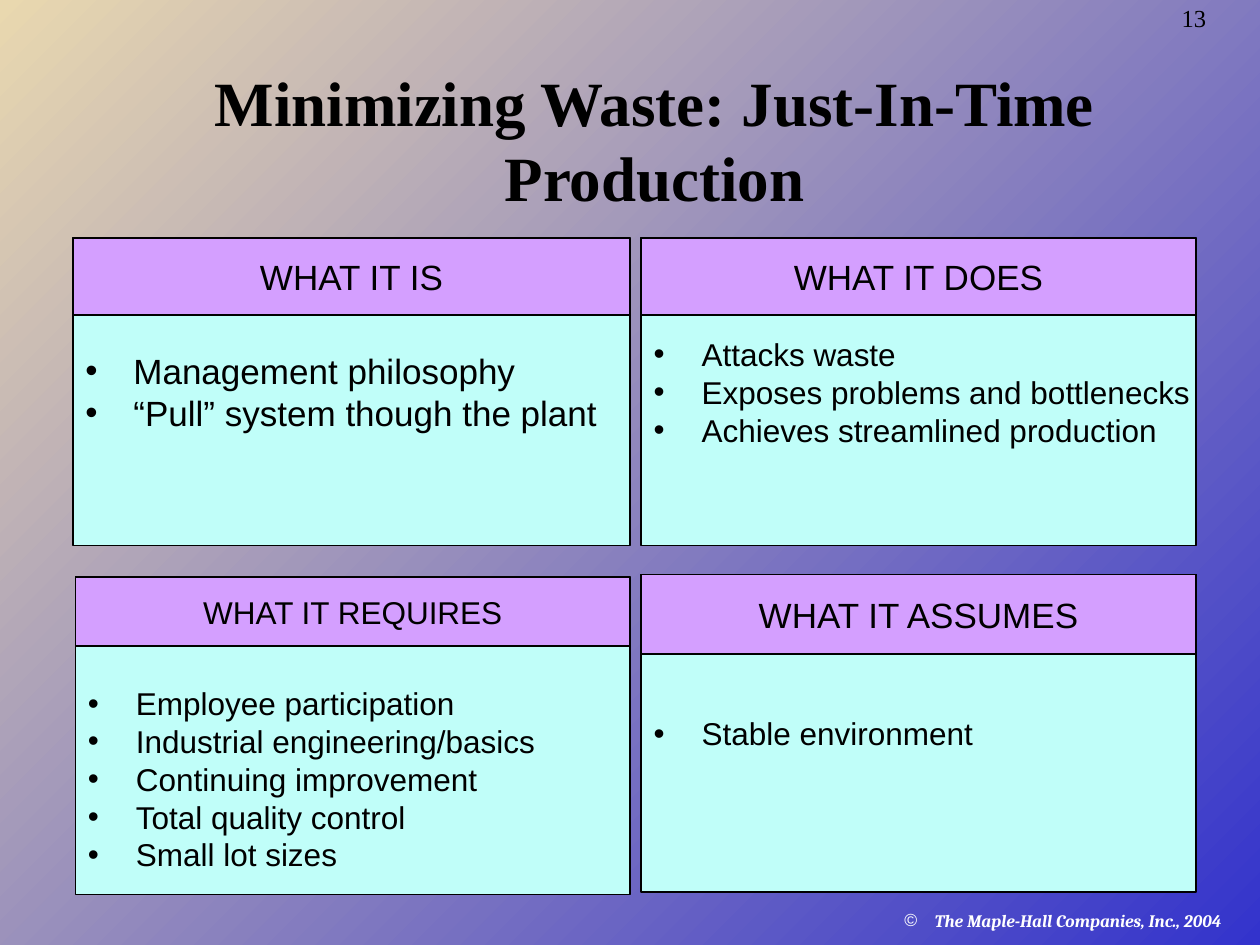
from dataclasses import dataclass

import pptx
import pptx.dml.color
import pptx.enum.shapes
import pptx.enum.text
import pptx.oxml
import pptx.oxml.ns
import pptx.util

Inches = pptx.util.Inches
Pt = pptx.util.Pt
Align = pptx.enum.text.PP_ALIGN
Anchor = pptx.enum.text.MSO_ANCHOR


@dataclass(frozen=True)
class Theme:
    ink: str = "000000"
    light: str = "FFFFFF"
    header: str = "D49FFF"
    body: str = "C0FEF9"
    background: tuple = ("3333CC", "E9D8AF")
    serif: str = "Times New Roman"
    sans: str = "Arial"
    credit: str = "Cambria"
    title_size: int = 36
    large: int = 20
    medium: int = 18
    number_size: int = 14
    credit_size: int = 10


THEME = Theme()


def rgb(value):
    return pptx.dml.color.RGBColor.from_string(value)


def add_span(para, text, font, size, color=THEME.ink, bold=False, italic=False):
    span = para.add_run()
    span.text = text
    span.font.name = font
    span.font.size = Pt(size)
    span.font.color.rgb = rgb(color)
    span.font.bold = bold
    span.font.italic = italic


def set_bullet(para, mark, indent, color=THEME.ink):
    """Hang the paragraph behind a bullet by the given indent in inches."""
    props = para._p.get_or_add_pPr()
    props.set("marL", str(Inches(indent)))
    props.set("indent", str(-Inches(indent)))
    space = pptx.oxml.ns.nsdecls("a")
    for xml in (
        f'<a:buClr {space}><a:srgbClr val="{color}"/></a:buClr>',
        f'<a:buFont {space} typeface="{THEME.sans}"/>',
        f'<a:buChar {space} char="{mark}"/>',
    ):
        props.append(pptx.oxml.parse_xml(xml))


def add_frame(page, box, anchor=Anchor.TOP, wrap=True):
    frame = page.shapes.add_textbox(*map(Inches, box)).text_frame
    frame.word_wrap = wrap
    frame.vertical_anchor = anchor
    return frame


def add_block(group, box, fill):
    """Add an outlined rectangle and return its text frame."""
    block = group.shapes.add_shape(
        pptx.enum.shapes.MSO_SHAPE.RECTANGLE, *map(Inches, box))
    block.shadow.inherit = False
    block.fill.solid()
    block.fill.fore_color.rgb = rgb(fill)
    block.line.color.rgb = rgb(THEME.ink)
    block.line.width = Pt(1)
    frame = block.text_frame
    frame.word_wrap = True
    frame.vertical_anchor = Anchor.MIDDLE
    return frame


def add_panel(page, box, header_height, heading, heading_size, items, item_size, drop=0):
    """Add a bulleted panel under a header; drop lowers the list, in inches."""
    left, top, width, _ = box
    group = page.shapes.add_group_shape()

    body = add_block(group, box, THEME.body)
    body.margin_right = 0
    body.margin_top = Inches(0.05 + drop)
    for index, item in enumerate(items):
        para = body.paragraphs[0] if index == 0 else body.add_paragraph()
        para.alignment = Align.LEFT
        set_bullet(para, "•", 0.38)
        add_span(para, item, THEME.sans, item_size)

    header = add_block(group, (left, top, width, header_height), THEME.header)
    para = header.paragraphs[0]
    para.alignment = Align.CENTER
    add_span(para, heading, THEME.sans, heading_size)


def add_background(page):
    fill = page.background.fill
    fill.gradient()
    fill.gradient_angle = 135
    for stop, color in zip(fill.gradient_stops, THEME.background):
        stop.color.rgb = rgb(color)


def add_credit(page, box):
    para = add_frame(page, box).paragraphs[0]
    set_bullet(para, "©", 0.24, THEME.light)
    add_span(para, "The Maple-Hall Companies, Inc., 2004", THEME.credit,
             THEME.credit_size, THEME.light, bold=True, italic=True)


def add_page_number(page, box):
    para = add_frame(page, box, wrap=False).paragraphs[0]
    para.line_spacing = 0.9
    add_span(para, "13", THEME.serif, THEME.number_size)


def add_title(page, box):
    para = add_frame(page, box, Anchor.BOTTOM).paragraphs[0]
    para.alignment = Align.CENTER
    add_span(para, "Minimizing Waste: Just-In-Time Production",
             THEME.serif, THEME.title_size, bold=True)


def main():
    deck = pptx.Presentation()
    deck.slide_width, deck.slide_height = Inches(10), Inches(7.5)
    page = deck.slides.add_slide(deck.slide_layouts[6])

    add_background(page)
    add_credit(page, (7.08, 7.17, 2.92, 0.43))
    add_page_number(page, (9.28, 0, 1.01, 0.31))
    add_title(page, (0.39, 0.42, 9.61, 1.33))

    large, medium = THEME.large, THEME.medium
    add_panel(page, (0.58, 1.89, 4.42, 2.44), 0.61, "WHAT IT IS", large,
              ["Management philosophy", "“Pull” system though the plant"], large)
    add_panel(page, (0.6, 4.58, 4.4, 2.52), 0.55, "WHAT IT REQUIRES", medium,
              ["Employee participation", "Industrial engineering/basics",
               "Continuing improvement", "Total quality control",
               "Small lot sizes"], medium, drop=0.68)
    add_panel(page, (5.09, 1.89, 4.4, 2.44), 0.61, "WHAT IT DOES", large,
              ["Attacks waste", "Exposes problems and bottlenecks",
               "Achieves streamlined production"], medium)
    add_panel(page, (5.09, 4.56, 4.4, 2.52), 0.63, "WHAT IT ASSUMES", large,
              ["Stable environment"], medium)

    deck.save("out.pptx")


if __name__ == "__main__":
    main()
